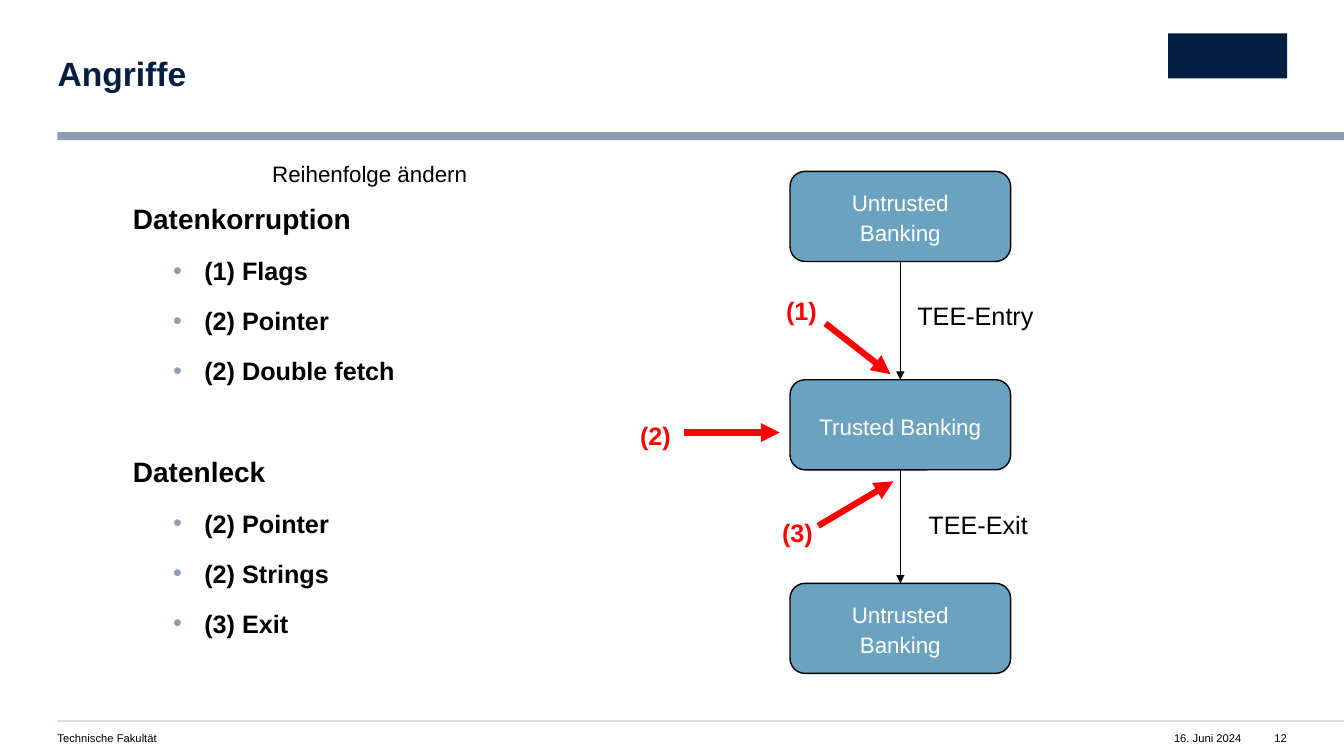
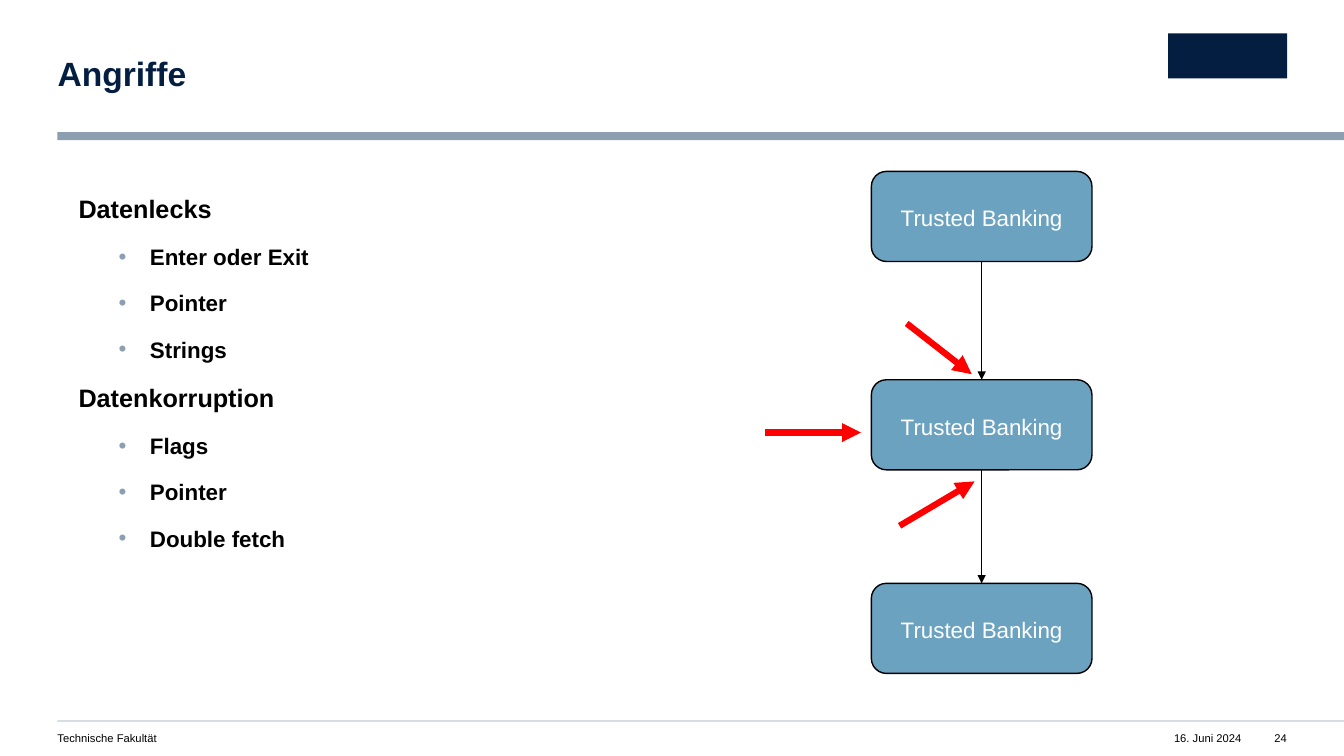
from pptx import Presentation
from pptx.dml.color import RGBColor
from pptx.enum.shapes import MSO_CONNECTOR as CONN, MSO_SHAPE as SHAPE
from pptx.enum.text import MSO_ANCHOR as ANCHOR, MSO_AUTO_SIZE as AUTO, PP_ALIGN as ALIGN
from pptx.oxml import parse_xml
from pptx.oxml.ns import nsdecls, qn
from pptx.util import Cm, Pt

NAVY = RGBColor(0x04, 0x1E, 0x42)
STEEL = RGBColor(0x8C, 0x9F, 0xB1)
BLUE = RGBColor(0x6B, 0xA2, 0xC0)
RED = RGBColor(0xFF, 0x00, 0x00)
BLACK = RGBColor(0x00, 0x00, 0x00)
WHITE = RGBColor(0xFF, 0xFF, 0xFF)

FONT = "Arial"
WIDTH, HEIGHT = 33.87, 19.05
MARGIN = 1.45
BOX_W, BOX_H = 5.56, 2.27
BOX_TOPS = (4.32, 9.57, 14.7)
ATTACKS = (
    (0.89, 8.15, 2.53, 9.43),
    (-2.67, 10.9, -0.26, 10.9),
    (0.71, 13.25, 2.6, 12.13),
)
TIGHT = {"line_spacing": 0.9, "space_before": Pt(0), "alignment": ALIGN.LEFT}
LOOSE = {"line_spacing": 1.1, "space_before": Pt(0), "space_after": Pt(12)}


def set_all(obj, values):
    for name, value in values.items():
        setattr(obj, name, value)


def place(sp, left, top, width, height):
    set_all(sp, {"left": Cm(left), "top": Cm(top), "width": Cm(width), "height": Cm(height)})


def set_frame(tf, inset=0, right=None, anchor=ANCHOR.TOP, wrap=True):
    side = Cm(inset)
    set_all(tf, {
        "margin_left": side, "margin_top": side, "margin_bottom": side,
        "margin_right": side if right is None else Cm(right),
        "vertical_anchor": anchor, "word_wrap": wrap, "auto_size": AUTO.NONE,
    })


def write(p, text, size, color=BLACK, bold=False, fmt=LOOSE):
    set_all(p, fmt)
    r = p.add_run()
    r.text = text
    set_all(r.font, {"name": FONT, "size": Pt(size), "bold": bold})
    r.font.color.rgb = color


def add_label(slide, box, text, size, wrap=True, **style):
    sp = slide.shapes.add_textbox(*map(Cm, box))
    set_frame(sp.text_frame, wrap=wrap)
    write(sp.text_frame.paragraphs[0], text, size, **style)


def add_block(slide, kind, box, fill, line=None):
    sp = slide.shapes.add_shape(kind, *map(Cm, box))
    sp.shadow.inherit = False
    sp.fill.solid()
    sp.fill.fore_color.rgb = fill
    if line is None:
        sp.line.fill.background()
    else:
        sp.line.color.rgb = line
        sp.line.width = Pt(1)
    return sp


def add_box(slide, left, top, text):
    sp = add_block(slide, SHAPE.ROUNDED_RECTANGLE, (left, top, BOX_W, BOX_H), BLUE, BLACK)
    set_frame(sp.text_frame, inset=0.51, anchor=ANCHOR.MIDDLE)
    write(sp.text_frame.paragraphs[0], text, 16, WHITE, fmt={**LOOSE, "alignment": ALIGN.CENTER})
    return sp


def add_arrow(slide, ends, color, width):
    cn = slide.shapes.add_connector(CONN.STRAIGHT, *map(Cm, ends))
    cn.line.color.rgb = color
    cn.line.width = Pt(width)
    sp_pr = cn.element.find(qn("p:spPr"))
    sp_pr.find(qn("a:ln")).append(parse_xml(f'<a:tailEnd {nsdecls("a")} type="triangle"/>'))
    sp_pr.append(parse_xml(f'<a:effectLst {nsdecls("a")}/>'))
    return cn


def set_bullet(p, bulleted):
    p_pr = p._p.get_or_add_pPr()
    p_pr.set("marL", str(Cm(1.8) if bulleted else 0))
    p_pr.set("indent", str(Cm(-0.79) if bulleted else 0))
    ns = nsdecls("a")
    marks = [f"<a:buNone {ns}/>"]
    if bulleted:
        marks = [
            f'<a:buClr {ns}><a:srgbClr val="{STEEL}"/></a:buClr>',
            f'<a:buFont {ns} typeface="{FONT}"/>',
            f'<a:buChar {ns} char="•"/>',
        ]
    for mark in marks:
        p_pr.append(parse_xml(mark))


def fill_body(sp, box, groups, size, gap):
    place(sp, *box)
    tf = sp.text_frame
    set_frame(tf, right=0.99)
    p = tf.paragraphs[0]
    for i, (heading, items) in enumerate(groups):
        if i:
            p = tf.add_paragraph()
        write(p, heading, size, bold=True, fmt={**LOOSE, "space_before": Pt(gap if i else 0)})
        set_bullet(p, False)
        for item in items:
            p = tf.add_paragraph()
            p.level = 1
            write(p, item, size - 2, bold=True)
            set_bullet(p, True)


def decorate_layout(layout, slide):
    place(layout.placeholders[0], MARGIN, MARGIN, 19.02, 0.91)
    for box, fill in (
        ((MARGIN, 3.33, WIDTH - MARGIN, 0.2), STEEL),
        ((MARGIN, 18.16, WIDTH - MARGIN, 0.02), STEEL),
        ((29.44, 0.84, 3, 1.14), NAVY),
    ):
        sp = add_block(slide, SHAPE.RECTANGLE, box, fill)
        layout.shapes.element.append(sp.element)


def add_footer(slide, number):
    right = {"alignment": ALIGN.RIGHT}
    for left, width, text, fmt in (
        (28.93, 2.36, "16. Juni 2024", right),
        (MARGIN, 15.19, "Technische Fakultät", {}),
        (31.9, 0.53, str(number), right),
    ):
        add_label(slide, (left, 18.44, width, 0.33), text, 8, fmt=fmt)


def add_flow(slide, left, names):
    boxes = [add_box(slide, left, top, name) for top, name in zip(BOX_TOPS, names)]
    for upper, lower in zip(boxes, boxes[1:]):
        cn = add_arrow(slide, (0, 0, 1, 1), BLACK, 1)
        cn.begin_connect(upper, 2)
        cn.end_connect(lower, 0)
    for x1, y1, x2, y2 in ATTACKS:
        add_arrow(slide, (left + x1, y1, left + x2, y2), RED, 4.5)


def add_slide(prs, layout, number, body, groups, size, gap, flow_left, names):
    slide = prs.slides.add_slide(layout)
    title = slide.shapes.title.text_frame
    set_frame(title)
    write(title.paragraphs[0], "Angriffe", 24, NAVY, True, TIGHT)
    fill_body(slide.placeholders[1], body, groups, size, gap)
    add_footer(slide, number)
    add_flow(slide, flow_left, names)
    return slide


def main():
    prs = Presentation()
    prs.slide_width, prs.slide_height = Cm(WIDTH), Cm(HEIGHT)
    layout = prs.slide_layouts[1]

    slide = add_slide(
        prs, layout, 12, (3.35, 5, 13.2, 12.7),
        [("Datenkorruption", ["(1) Flags", "(2) Pointer", "(2) Double fetch"]),
         ("Datenleck", ["(2) Pointer", "(2) Strings", "(3) Exit"])],
        20, 35, 19.91, ["Untrusted Banking", "Trusted Banking", "Untrusted Banking"])
    decorate_layout(layout, slide)
    for left, top, text in ((23.12, 7.5, "TEE-Entry"), (23.4, 12.75, "TEE-Exit")):
        add_label(slide, (left, top, 4.17, 0.79), text, 18)
    for left, top, text in ((19.81, 7.37, "(1)"), (16.13, 10.52, "(2)"), (19.71, 12.95, "(3)")):
        add_label(slide, (left, top, 1.12, 0.79), text, 18, color=RED, bold=True)
    add_label(slide, (6.86, 3.96, 8.2, 0.69), "Reihenfolge ändern", 16)

    add_slide(
        prs, layout, 24, (1.98, 4.8, 31, 12.7),
        [("Datenlecks", ["Enter oder Exit", "Pointer", "Strings"]),
         ("Datenkorruption", ["Flags", "Pointer", "Double fetch"])],
        18, 0, 21.96, ["Trusted Banking"] * 3)
    prs.save("out.pptx")


if __name__ == "__main__":
    main()
